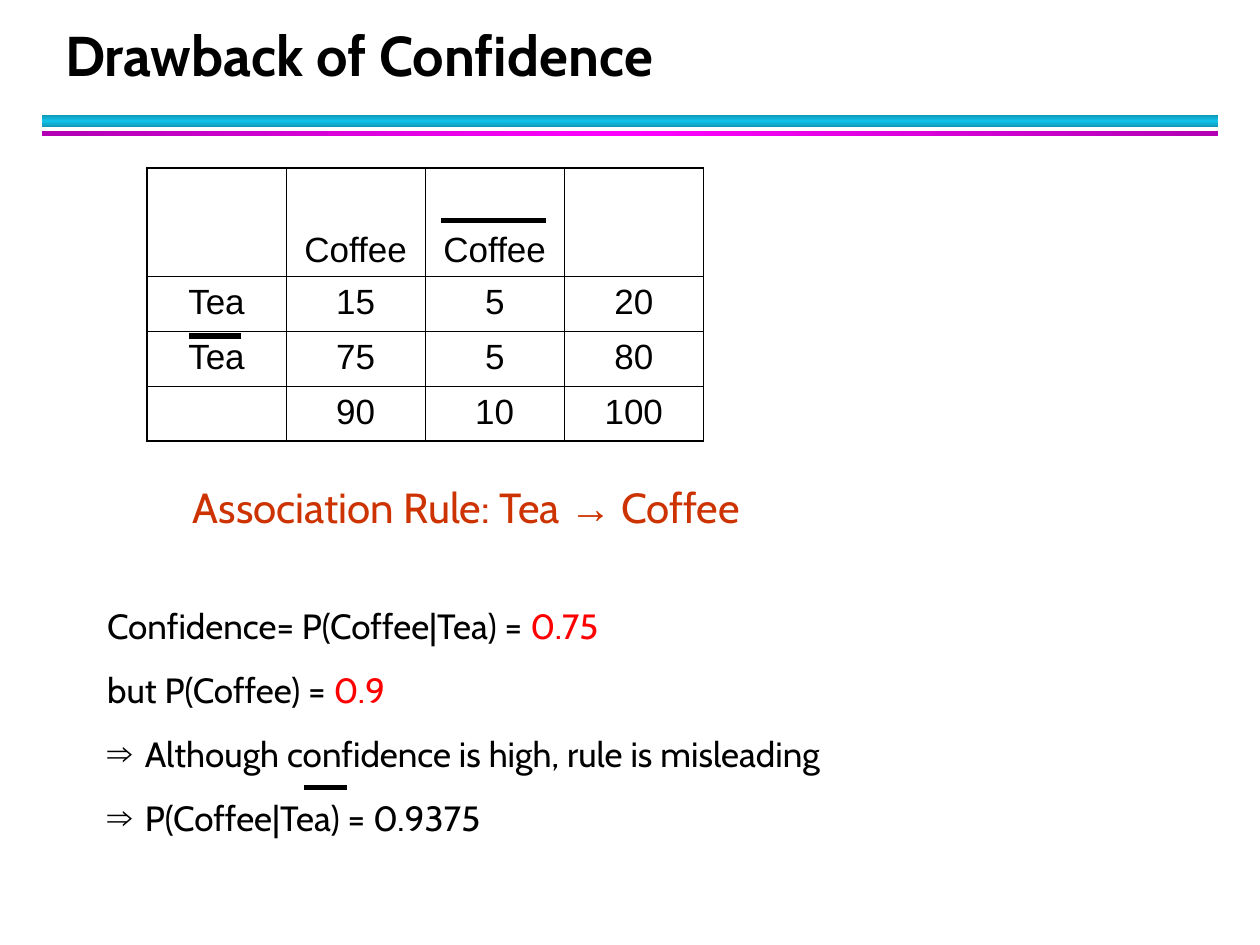
import copy

import pptx
import pptx.dml.color
import pptx.enum.dml
import pptx.enum.shapes
import pptx.enum.text
import pptx.oxml.ns
import pptx.util
from lxml import etree

Pt = pptx.util.Pt
BLACK, ORANGE, RED = "000000", "CC3300", "FF0000"

TITLE = "Drawback of Confidence"
# top, height, edge colour, middle colour, angle
RULES = [
    (66, 6.4, "0E9BBA", "12C2E9", 90),
    (75, 2.9, "B200B2", "FF00FF", 0),
]
TABLE = [
    ["", "Coffee", "Coffee", ""],
    ["Tea", "15", "5", "20"],
    ["Tea", "75", "5", "80"],
    ["", "90", "10", "100"],
]
ROW_HEIGHTS = [62, 31.4, 31.4, 31.4]
COLUMN_WIDTH = 79.5
OUTER_BORDER, INNER_BORDER = 1.08, 0.45
# space before, left indent, bullet, runs of (text, size, colour, font)
BODY = [
    (0, 49, None, [("Association Rule: Tea ", 24, ORANGE, "Cabin"),
                   ("→", 24, ORANGE, "Arial"),
                   (" Coffee", 24, ORANGE, "Cabin")]),
    (41.5, 0, None, [("Confidence= P(Coffee|Tea) = ", 20, BLACK, "Cabin"),
                     ("0.75", 20, RED, "Cabin")]),
    (12.5, 0, None, [("but P(Coffee) = ", 20, BLACK, "Cabin"),
                     ("0.9", 20, RED, "Cabin")]),
    (12.5, 21.6, "⇒", [("Although confidence is high, rule is misleading",
                        20, BLACK, "Cabin")]),
    (12.5, 21.6, "⇒", [("P(Coffee|Tea) = 0.9375", 20, BLACK, "Cabin")]),
]
# left, right, height on the slide
OVERLINES = [(252, 312, 126), (108, 138, 192), (174, 198, 450)]


def color(value):
    return pptx.dml.color.RGBColor.from_string(value)


def add_child(parent, tag, **attributes):
    return etree.SubElement(parent, pptx.oxml.ns.qn(tag), attributes)


def format_run(run, size, value, font, bold=False):
    run.font.size = Pt(size)
    run.font.color.rgb = color(value)
    run.font.name = font
    run.font.bold = bold


def place(shape, left, top, width, height):
    shape.left, shape.top = Pt(left), Pt(top)
    shape.width, shape.height = Pt(width), Pt(height)


def add_rule(slide, top, height, edge, middle, angle):
    """Add a bar whose gradient runs from edge to middle and back."""
    bar = slide.shapes.add_shape(pptx.enum.shapes.MSO_SHAPE.RECTANGLE,
                                 Pt(24), Pt(top), Pt(672), Pt(height))
    bar.shadow.inherit = False
    bar.line.fill.background()
    bar.fill.gradient()
    bar.fill.gradient_angle = angle
    stop_list = bar.fill._fill._gradFill.find(pptx.oxml.ns.qn("a:gsLst"))
    stop_list.insert(1, copy.deepcopy(stop_list[0]))
    for stop, value, position in zip(bar.fill.gradient_stops,
                                     (edge, middle, edge), (0, 0.5, 1)):
        stop.color.rgb = color(value)
        stop.position = position


def add_title(slide):
    title = slide.shapes.title
    place(title, 30, 12, 652, 42)
    frame = title.text_frame
    frame.text = TITLE
    frame.auto_size = pptx.enum.text.MSO_AUTO_SIZE.NONE
    frame.vertical_anchor = pptx.enum.text.MSO_ANCHOR.BOTTOM
    paragraph = frame.paragraphs[0]
    paragraph.alignment = pptx.enum.text.PP_ALIGN.LEFT
    paragraph.line_spacing = Pt(36)
    format_run(paragraph.runs[0], 32, BLACK, "Cabin", bold=True)


def set_borders(cell, row, column):
    """Draw thick borders on the table's edge and thin ones inside."""
    last_row, last_column = len(TABLE) - 1, len(TABLE[0]) - 1
    on_edge = {"a:lnL": column == 0, "a:lnR": column == last_column,
               "a:lnT": row == 0, "a:lnB": row == last_row}
    properties = cell._tc.get_or_add_tcPr()
    for tag, outer in on_edge.items():
        width = Pt(OUTER_BORDER if outer else INNER_BORDER)
        line = add_child(properties, tag, w=str(int(width)))
        add_child(add_child(line, "a:solidFill"), "a:srgbClr", val=BLACK)


def add_table(slide):
    rows, columns = len(TABLE), len(TABLE[0])
    table = slide.shapes.add_table(rows, columns, Pt(84), Pt(96),
                                   Pt(columns * COLUMN_WIDTH),
                                   Pt(sum(ROW_HEIGHTS))).table
    table.first_row = table.horz_banding = False
    for column in table.columns:
        column.width = Pt(COLUMN_WIDTH)
    for row, (height, texts) in enumerate(zip(ROW_HEIGHTS, TABLE)):
        table.rows[row].height = Pt(height)
        for column, text in enumerate(texts):
            cell = table.cell(row, column)
            cell.text = text
            if row == 0:
                cell.vertical_anchor = pptx.enum.text.MSO_ANCHOR.BOTTOM
            paragraph = cell.text_frame.paragraphs[0]
            paragraph.alignment = pptx.enum.text.PP_ALIGN.CENTER
            paragraph.space_before, paragraph.space_after = Pt(2.5), Pt(4)
            for run in paragraph.runs:
                format_run(run, 20, BLACK, "Arial")
            set_borders(cell, row, column)
            cell.fill.background()


def add_body(slide):
    body = slide.placeholders[1]
    place(body, 54, 271.5, 582, 211)
    frame = body.text_frame
    frame.auto_size = pptx.enum.text.MSO_AUTO_SIZE.NONE
    frame.text = "\n".join("".join(run[0] for run in runs)
                           for _, _, _, runs in BODY)
    for paragraph, (space, indent, bullet, runs) in zip(frame.paragraphs, BODY):
        paragraph.text = ""
        paragraph.space_before = Pt(space)
        properties = paragraph._p.get_or_add_pPr()
        properties.set("marL", str(int(Pt(indent))))
        properties.set("indent", str(int(Pt(-indent if bullet else 0))))
        if bullet:
            add_child(properties, "a:buFont", typeface="Arial")
            add_child(properties, "a:buChar", char=bullet)
        else:
            add_child(properties, "a:buNone")
        for text, size, value, font in runs:
            run = paragraph.add_run()
            run.text = text
            format_run(run, size, value, font)


def add_overline(slide, left, right, height):
    line = slide.shapes.add_connector(pptx.enum.shapes.MSO_CONNECTOR.STRAIGHT,
                                      Pt(left), Pt(height),
                                      Pt(right), Pt(height))
    line.line.width = Pt(3)
    line.line.color.rgb = color(BLACK)
    add_child(line._element.spPr, "a:effectLst")


def main():
    presentation = pptx.Presentation()
    presentation.slide_width, presentation.slide_height = Pt(720), Pt(540)
    slide = presentation.slides.add_slide(presentation.slide_layouts[1])
    for rule in RULES:
        add_rule(slide, *rule)
    add_title(slide)
    add_table(slide)
    add_body(slide)
    for overline in OVERLINES:
        add_overline(slide, *overline)
    presentation.save("out.pptx")


if __name__ == "__main__":
    main()
